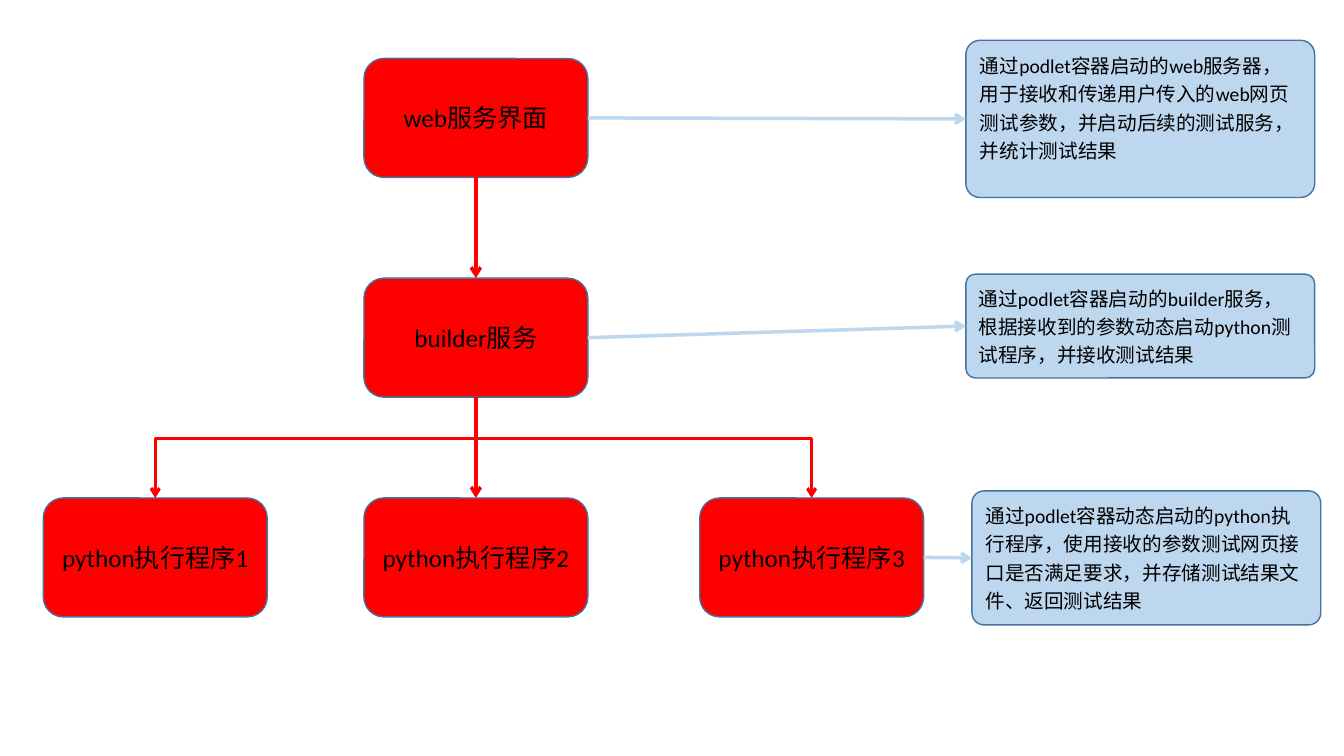
from lxml.etree import SubElement
from pptx import Presentation
from pptx.dml.color import RGBColor
from pptx.enum.shapes import MSO_CONNECTOR, MSO_SHAPE
from pptx.enum.text import MSO_ANCHOR, PP_ALIGN
from pptx.oxml.ns import qn
from pptx.util import Inches, Pt

# Content: services as (text, column, row)
SERVICES = {
    "web": ("web服务界面", 1, 0),
    "builder": ("builder服务", 1, 1),
    "python2": ("python执行程序2", 1, 2),
    "python1": ("python执行程序1", 0, 2),
    "python3": ("python执行程序3", 2, 2),
}
# Notes: service described -> (text, left, top, height)
NOTES = {
    "web": ("通过podlet容器启动的web服务器，用于接收和传递用户传入的web网页测试参数，"
            "并启动后续的测试服务，并统计测试结果", 9.58, 0.4, 1.56),
    "builder": ("通过podlet容器启动的builder服务，根据接收到的参数动态启动python测试程序，"
                "并接收测试结果", 9.58, 2.72, 1.03),
    "python3": ("通过podlet容器动态启动的python执行程序，使用接收的参数测试网页接口是否满足要求，"
                "并存储测试结果文件、返回测试结果", 9.64, 4.87, 1.33),
}
FLOW = [("web", "builder"), ("builder", "python2")]
BRANCHES = ["python1", "python3"]

COLORS = {"service": "FF0000", "note": "BDD7EE", "border": "43739E", "text": "000000"}

# Grid, in inches
COLUMNS = [0.43, 3.61, 6.94]
ROW_TOP, ROW_STEP = 0.58, 2.18
SERVICE_W, SERVICE_H = 2.22, 1.18
NOTE_W = 3.46
BRANCH_Y = 4.35
TOP, LEFT, BOTTOM, RIGHT = range(4)  # connection sites

deck = Presentation()
deck.slide_width, deck.slide_height = Inches(13.33), Inches(7.5)
slide = deck.slides.add_slide(deck.slide_layouts[6])


def color(name):
    return RGBColor.from_string(COLORS[name])


def add_box(text, left, top, width, height, fill, size):
    box = slide.shapes.add_shape(MSO_SHAPE.ROUNDED_RECTANGLE, *map(Inches, (left, top, width, height)))
    box.shadow.inherit = False
    box.fill.solid()
    box.fill.fore_color.rgb = color(fill)
    box.line.color.rgb = color("border")
    box.line.width = Pt(1)
    box.text_frame.word_wrap = True
    box.text_frame.text = text
    font = box.text_frame.paragraphs[0].font
    font.name, font.size, font.color.rgb = "Calibri", Pt(size), color("text")
    return box


def add_arrow(kind, start, end, fill, width):
    arrow = slide.shapes.add_connector(kind, *start, *end)
    arrow.line.color.rgb = color(fill)
    arrow.line.width = Pt(width)
    SubElement(arrow.line._get_or_add_ln(), qn("a:tailEnd"), type="arrow")
    SubElement(arrow._element.spPr, qn("a:effectLst"))
    return arrow


def link(source, source_site, target, target_site, fill):
    arrow = add_arrow(MSO_CONNECTOR.STRAIGHT, (0, 0), (0, 0), fill, 2.5)
    arrow.begin_connect(source, source_site)
    arrow.end_connect(target, target_site)


# Service boxes
services = {}
for key, (text, column, row) in SERVICES.items():
    service = add_box(text, COLUMNS[column], ROW_TOP + row * ROW_STEP,
                      SERVICE_W, SERVICE_H, "service", 18)
    service.text_frame.vertical_anchor = MSO_ANCHOR.MIDDLE
    service.text_frame.paragraphs[0].alignment = PP_ALIGN.CENTER
    services[key] = service

# Main flow and side branches
for source, target in FLOW:
    link(services[source], BOTTOM, services[target], TOP, "service")

trunk_x = services["builder"].left + services["builder"].width // 2
for key in BRANCHES:
    program = services[key]
    branch = add_arrow(MSO_CONNECTOR.ELBOW, (trunk_x, Inches(BRANCH_Y)),
                       (program.left + program.width // 2, program.top), "service", 2.25)
    branch._element.spPr.find(qn("a:prstGeom")).set("prst", "bentConnector2")

# Notes beside the services
for key, (text, left, top, height) in NOTES.items():
    note = add_box(text, left, top, NOTE_W, height, "note", 14)
    note.adjustments[0] = 0.09
    note.text_frame.vertical_anchor = MSO_ANCHOR.TOP
    note.text_frame.paragraphs[0].alignment = PP_ALIGN.LEFT
    note.text_frame.paragraphs[0].line_spacing = 1.2
    link(services[key], RIGHT, note, LEFT, "note")

deck.save("out.pptx")
